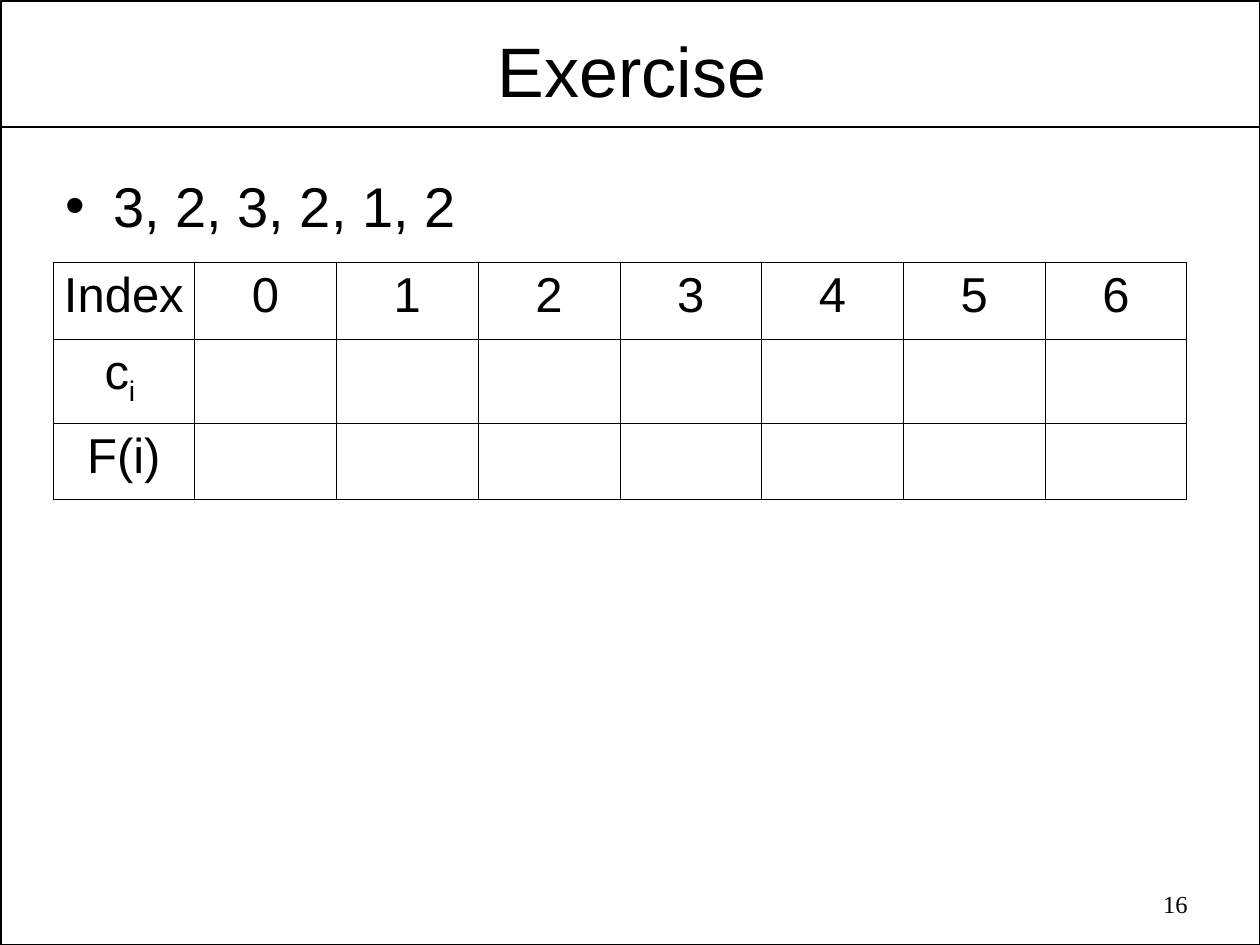
"""Build the exercise slide with a number list and an empty counting table."""
import pptx
import pptx.dml.color
import pptx.enum.shapes
import pptx.enum.text
import pptx.oxml
import pptx.oxml.ns
import pptx.util
from lxml import etree

BLACK = pptx.dml.color.RGBColor(0, 0, 0)
WHITE = pptx.dml.color.RGBColor(255, 255, 255)
ALIGN = pptx.enum.text.PP_ALIGN
ANCHOR = pptx.enum.text.MSO_ANCHOR
qn = pptx.oxml.ns.qn


def px(*lengths):
    return [round(length * 914400 / 126) for length in lengths]


def format_text(text_frame, size, font_name, alignment):
    for paragraph in text_frame.paragraphs:
        paragraph.alignment = alignment
        for run in paragraph.runs:
            run.font.size = pptx.util.Pt(size)
            run.font.name = font_name
            run.font.color.rgb = BLACK


presentation = pptx.Presentation()
presentation.slide_width, presentation.slide_height = px(1260, 945)
slide = presentation.slides.add_slide(presentation.slide_layouts[5])
slide.background.fill.solid()
slide.background.fill.fore_color.rgb = WHITE

frame = slide.shapes.add_shape(pptx.enum.shapes.MSO_SHAPE.RECTANGLE, *px(1, 1, 1259, 944))
frame.shadow.inherit = False
frame.fill.background()
divider = slide.shapes.add_connector(
    pptx.enum.shapes.MSO_CONNECTOR.STRAIGHT, *px(1, 127, 1259, 127))
etree.SubElement(divider._element.spPr, qn("a:effectLst"))
for outline in (frame.line, divider.line):
    outline.color.rgb = BLACK
    outline.width = pptx.util.Pt(1)

title = slide.shapes.title
title.left, title.top, title.width, title.height = px(67, 24, 1130, 91)
title.text_frame.text = "Exercise"
title.text_frame.vertical_anchor = ANCHOR.MIDDLE
format_text(title.text_frame, 40, "Arial", ALIGN.CENTER)

numbers = slide.shapes.add_textbox(*px(53, 159, 1155, 93)).text_frame
numbers.word_wrap = True
numbers.vertical_anchor = ANCHOR.MIDDLE
numbers.text = "3, 2, 3, 2, 1, 2"
format_text(numbers, 32, "Arial", ALIGN.LEFT)
properties = numbers.paragraphs[0]._p.get_or_add_pPr()
indent = px(48)[0]
properties.set("marL", str(indent))
properties.set("indent", str(-indent))
etree.SubElement(properties, qn("a:buFont"), typeface="Arial")
etree.SubElement(properties, qn("a:buChar"), char="•")

page_number = slide.shapes.add_textbox(*px(905, 883, 295, 45)).text_frame
page_number.word_wrap = True
page_number.text = "16"
format_text(page_number, 14, "Times New Roman", ALIGN.RIGHT)

header = ["Index", *map(str, range(7))]
row_labels = ["Index", "c", "F(i)"]
row_heights = px(77, 84, 76)
table = slide.shapes.add_table(
    len(row_labels), len(header), *px(53, 262, 1134, 237)).table
for column in table.columns:
    column.width = px(1134 / len(header))[0]
for row, height in zip(table.rows, row_heights):
    row.height = height
for column_index, label in enumerate(header):
    table.cell(0, column_index).text = label
for row_index, label in enumerate(row_labels):
    label_cell = table.cell(row_index, 0)
    label_cell.text = label
    label_cell.margin_left, label_cell.margin_right = px(9, 9)
subscript = table.cell(1, 0).text_frame.paragraphs[0].add_run()
subscript.text = "i "
subscript.font._element.set("baseline", "-25000")

for cell in table.iter_cells():
    format_text(cell.text_frame, 28, "Arial", ALIGN.CENTER)
    cell_properties = cell._tc.get_or_add_tcPr()
    for side in ("lnL", "lnR", "lnT", "lnB"):
        border = etree.SubElement(cell_properties, qn(f"a:{side}"), w="5715")
        fill = etree.SubElement(border, qn("a:solidFill"))
        etree.SubElement(fill, qn("a:srgbClr"), val=str(BLACK))
    cell.fill.background()

presentation.save("out.pptx")
